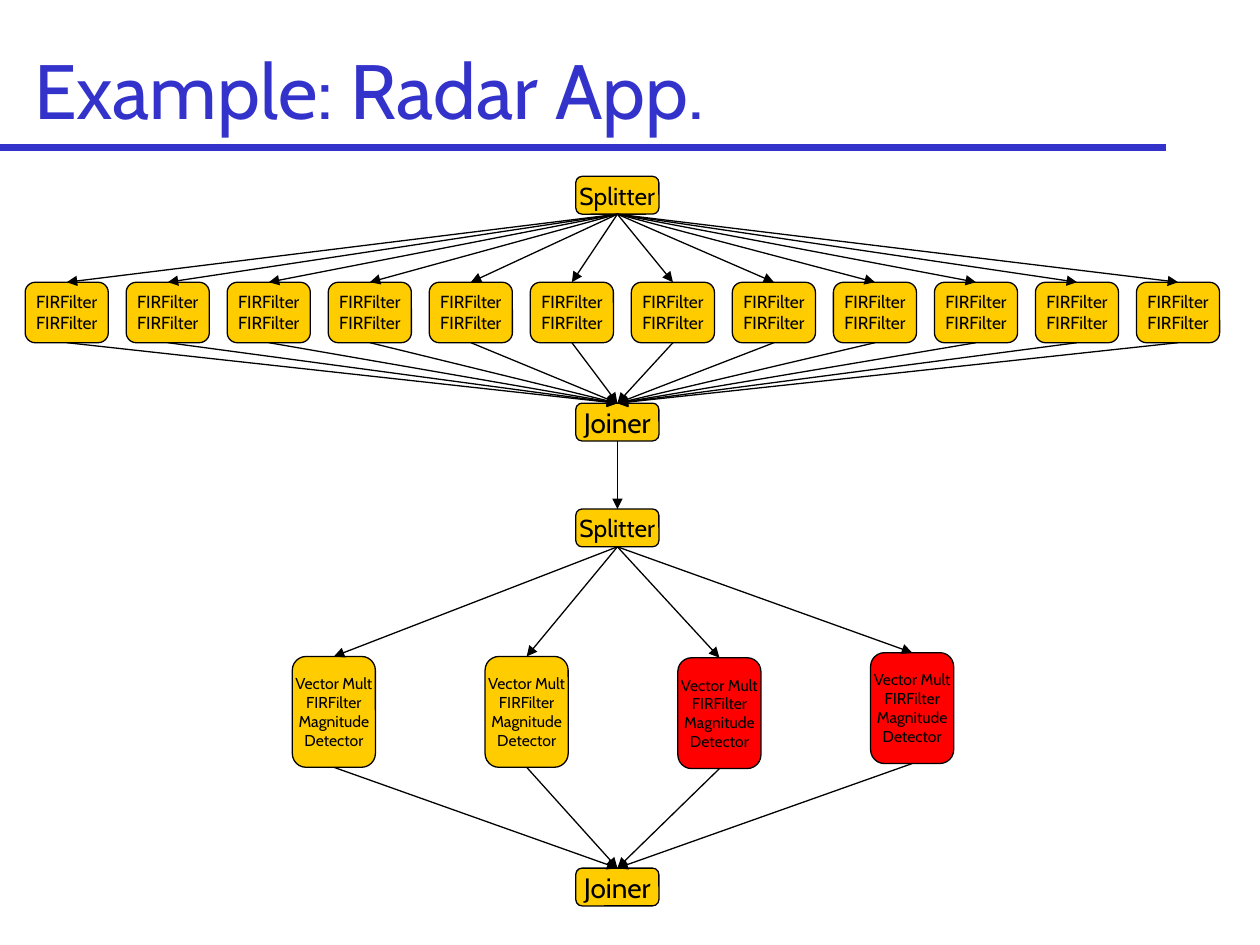
from dataclasses import dataclass

from lxml.etree import SubElement
from pptx import Presentation
from pptx.dml.color import RGBColor
from pptx.enum.shapes import MSO_CONNECTOR, MSO_SHAPE
from pptx.enum.text import MSO_ANCHOR, MSO_AUTO_SIZE, PP_ALIGN
from pptx.oxml.ns import qn
from pptx.util import Inches, Pt

TOP, BOTTOM = 0, 2  # connection sites
NODE_WIDTH = 0.66
HUB_HEIGHT = 0.3
SPINE_LEFT = 4.57  # left edge of every splitter and joiner


@dataclass(frozen=True)
class Theme:
    font: str = "Cabin"
    accent: RGBColor = RGBColor(0x33, 0x33, 0xCC)
    ink: RGBColor = RGBColor(0, 0, 0)
    yellow: RGBColor = RGBColor(0xFF, 0xCC, 0)
    red: RGBColor = RGBColor(0xFF, 0, 0)
    title_size: int = 44
    splitter_size: int = 14
    joiner_size: int = 16
    filter_size: int = 10
    detector_size: int = 9
    thin: float = 0.75
    rule: int = 4


@dataclass(frozen=True)
class Box:
    left: float
    top: float
    width: float
    height: float

    def inches(self):
        return [Inches(n) for n in (self.left, self.top, self.width, self.height)]


THEME = Theme()


def write_text(shape, text, *, size, color=THEME.ink, align=PP_ALIGN.CENTER, wrap=False):
    """Fill a shape with one paragraph per line of text."""
    frame = shape.text_frame
    frame.text = text
    frame.word_wrap = wrap
    frame.auto_size = MSO_AUTO_SIZE.NONE
    frame.vertical_anchor = MSO_ANCHOR.MIDDLE
    for paragraph in frame.paragraphs:
        paragraph.alignment = align
        paragraph.font.name = THEME.font
        paragraph.font.size = Pt(size)
        paragraph.font.color.rgb = color


def add_line(slide, start=(0, 0), end=(0, 0), *, color=THEME.ink, width=THEME.thin):
    points = [Inches(n) for n in (*start, *end)]
    line = slide.shapes.add_connector(MSO_CONNECTOR.STRAIGHT, *points)
    line.line.color.rgb = color
    line.line.width = Pt(width)
    SubElement(line._element.spPr, qn("a:effectLst"))
    return line


def add_arrow(slide, source, target):
    """Arrow from the bottom of one node to the top of the next."""
    arrow = add_line(slide)
    arrow.begin_connect(source, BOTTOM)
    arrow.end_connect(target, TOP)
    SubElement(arrow.line._get_or_add_ln(), qn("a:tailEnd"), type="triangle")


def add_node(slide, box, text, *, size, fill=THEME.yellow):
    node = slide.shapes.add_shape(MSO_SHAPE.ROUNDED_RECTANGLE, *box.inches())
    node.shadow.inherit = False
    node.fill.solid()
    node.fill.fore_color.rgb = fill
    node.line.color.rgb = THEME.ink
    node.line.width = Pt(THEME.thin)
    write_text(node, text, size=size)
    return node


def add_title(slide, box, text):
    title = slide.shapes.title
    title.left, title.top, title.width, title.height = box.inches()
    write_text(title, text, size=THEME.title_size, color=THEME.accent,
               align=PP_ALIGN.LEFT, wrap=True)
    # Rule beneath the title
    rule_top = box.top + 1.09
    add_line(slide, (0, rule_top), (9.25, rule_top), color=THEME.accent, width=THEME.rule)


def add_stage(slide, box, text, *, size, branch_top, branch_height, fills, shifts):
    """Splitter, evenly spaced parallel branches, and joiner; returns both hubs."""
    joiner_top = box.top + box.height - HUB_HEIGHT
    splitter = add_node(slide, Box(SPINE_LEFT, box.top, NODE_WIDTH, HUB_HEIGHT),
                        "Splitter", size=THEME.splitter_size)
    joiner = add_node(slide, Box(SPINE_LEFT, joiner_top, NODE_WIDTH, HUB_HEIGHT),
                      "Joiner", size=THEME.joiner_size)
    pitch = (box.width - NODE_WIDTH) / (len(fills) - 1)
    for index, (fill, shift) in enumerate(zip(fills, shifts)):
        branch_box = Box(box.left + index * pitch, box.top + branch_top + shift,
                         NODE_WIDTH, branch_height)
        branch = add_node(slide, branch_box, text, size=size, fill=fill)
        add_arrow(slide, splitter, branch)
        add_arrow(slide, branch, joiner)
    return splitter, joiner


def main():
    presentation = Presentation()
    presentation.slide_width, presentation.slide_height = Inches(10), Inches(7.5)
    slide = presentation.slides.add_slide(presentation.slide_layouts[5])

    add_title(slide, Box(0.17, 0.08, 9.83, 1.25), "Example: Radar App.")

    # Filter stage
    _, filter_joiner = add_stage(
        slide, Box(0.2, 1.4, 9.48, 2.1), "FIRFilter\nFIRFilter",
        size=THEME.filter_size, branch_top=0.84, branch_height=0.48,
        fills=[THEME.yellow] * 12, shifts=[0] * 12)

    # Detector stage
    detector_splitter, _ = add_stage(
        slide, Box(2.32, 4.04, 5.25, 3.15), "Vector Mult\nFIRFilter\nMagnitude\nDetector",
        size=THEME.detector_size, branch_top=1.17, branch_height=0.88,
        fills=[THEME.yellow] * 2 + [THEME.red] * 2, shifts=[0, 0, 0.01, -0.03])

    # Link between the stages
    add_arrow(slide, filter_joiner, detector_splitter)

    presentation.save("out.pptx")


if __name__ == "__main__":
    main()
